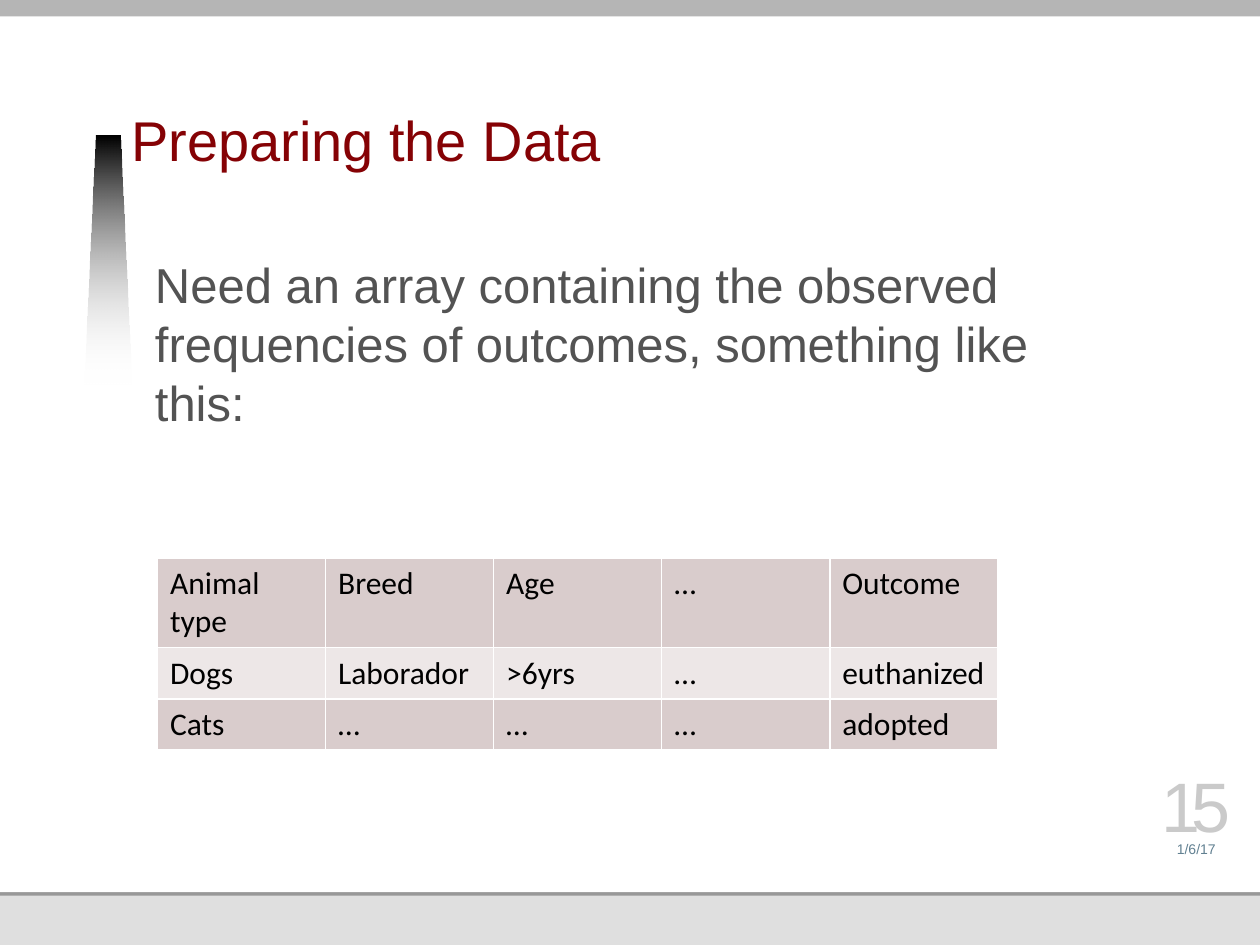
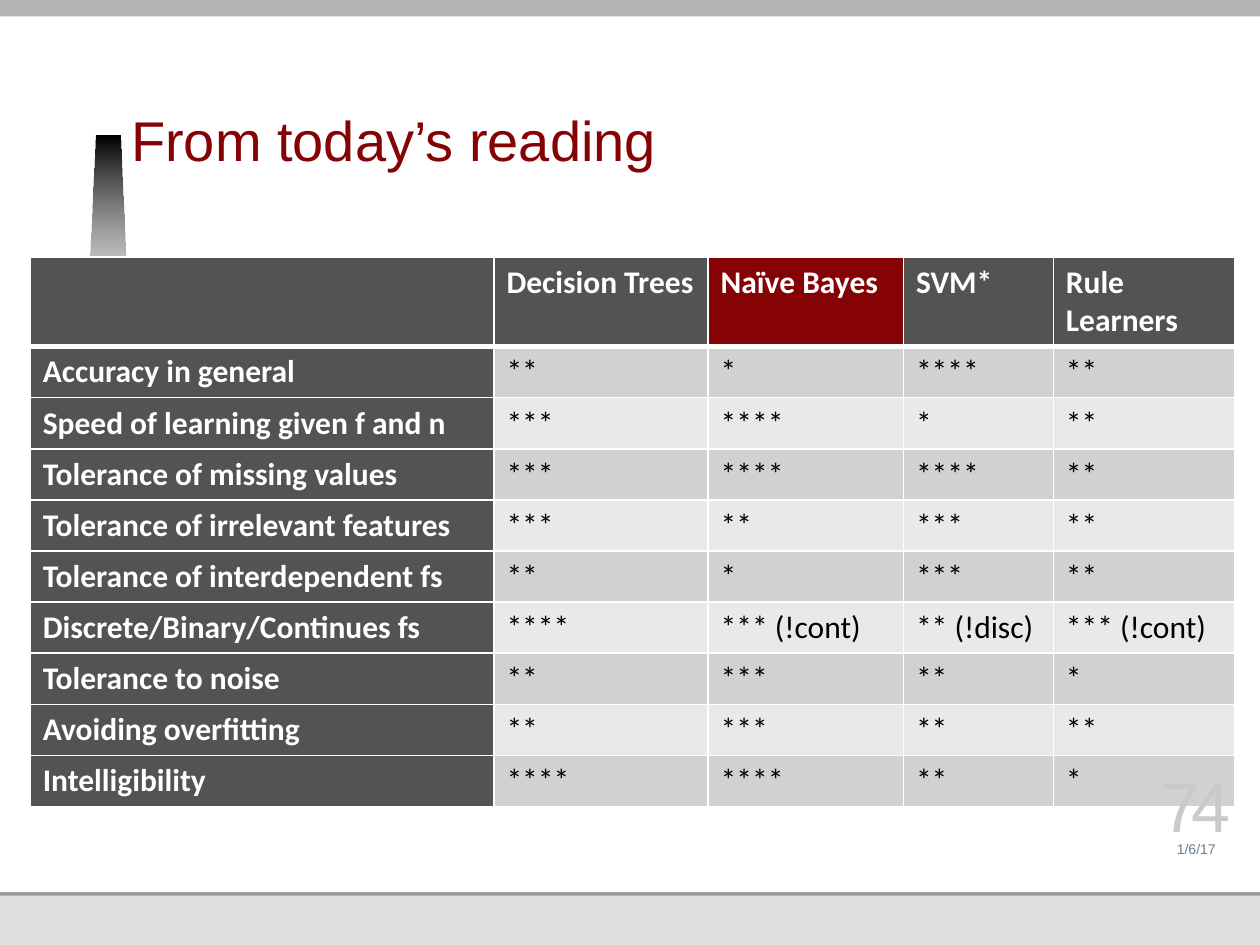
"""Builds two lecture slides on preparing data and comparing classifiers."""
from dataclasses import dataclass

from lxml import etree
from pptx import Presentation
from pptx.dml.color import RGBColor
from pptx.enum.shapes import MSO_SHAPE
from pptx.enum.text import MSO_ANCHOR, MSO_AUTO_SIZE, PP_ALIGN
from pptx.oxml.ns import qn
from pptx.util import Inches, Pt

RECT = MSO_SHAPE.RECTANGLE
TOP, BOTTOM = MSO_ANCHOR.TOP, MSO_ANCHOR.BOTTOM
LEFT, CENTER = PP_ALIGN.LEFT, PP_ALIGN.CENTER
NO_FIT = MSO_AUTO_SIZE.NONE
TITLE_AND_BODY, TITLE_ONLY = 1, 5
WHITE, BLACK, DARK, MAROON = "FFFFFF", "000000", "535353", "850205"
HEADER_HEIGHT, ROW_HEIGHT = 0.7, 0.4
FIRST_MASTER_ID = 100


@dataclass
class Band:
    left: float
    top: float
    width: float
    height: float
    color: str


@dataclass
class TextStyle:
    box: tuple
    size: float
    color: str
    anchor: int = BOTTOM
    align: int = LEFT
    inset: float = 0
    paragraph: tuple = ()
    spacing: int = 0


@dataclass
class Grid:
    left: float
    top: float
    cols: tuple
    rows: tuple
    bands: tuple
    headed: bool = False
    accent_col: int = -1


BANDS = (
    Band(0, 0, 10, 7.5, "DFDFDF"),
    Band(0, 1.78, 10, 5.33, "989898"),
    Band(0, 0, 10, 7.08, WHITE),
    Band(0, -0.04, 10.17, 0.17, "B5B5B5"),
)
BEAM = ((0.67, 3.05), (0.76, 1.08), (0.95, 1.08), (1.04, 3.05))

TITLE = TextStyle((1.04, 0.34, 6.87, 1.08), 32, MAROON, inset=0.05,
                  paragraph=(("line_spacing", Pt(34)),))
BODY = TextStyle((1.23, 2.02, 7.71, 4.79), 28, DARK, TOP, inset=0.05,
                 paragraph=(("space_before", Pt(0)), ("space_after", Pt(8))))
DATE = TextStyle((9.13, 6.58, 0.73, 0.22), 8, "618091", align=CENTER)
NUMBER = TextStyle((9.13, 6.16, 0.73, 0.56), 40, "CACACA", align=CENTER, spacing=-500)

ANIMALS = Grid(1.25, 4.43, (6.67 / 5,) * 5, (
    ("Animal type", "Breed", "Age", "…", "Outcome"),
    ("Dogs", "Laborador", ">6yrs", "…", "euthanized"),
    ("Cats", "…", "…", "…", "adopted"),
), ("D9CCCC", "EDE7E7"))

CLASSIFIERS = Grid(0.24, 2.04, (3.68, 1.7, 1.55, 1.19, 1.44), (
    ("", "Decision Trees", "Naïve Bayes", "SVM*", "Rule Learners"),
    ("Accuracy in general", "**", "*", "****", "**"),
    ("Speed of learning given f and n", "***", "****", "*", "**"),
    ("Tolerance of missing values", "***", "****", "****", "**"),
    ("Tolerance of irrelevant features", "***", "**", "***", "**"),
    ("Tolerance of interdependent fs", "**", "*", "***", "**"),
    ("Discrete/Binary/Continues fs", "****", "*** (!cont)", "** (!disc)", "*** (!cont)"),
    ("Tolerance to noise", "**", "***", "**", "*"),
    ("Avoiding overfitting", "**", "***", "**", "**"),
    ("Intelligibility", "****", "****", "**", "*"),
), ("E9E9E9", "D1D1D1"), headed=True, accent_col=2)


def rgb(color: str) -> RGBColor:
    """Turn a hex string into a colour."""
    return RGBColor.from_string(color)


def apply(target, values: dict) -> None:
    """Set every named attribute on the target."""
    for name, value in values.items():
        setattr(target, name, value)


def set_font(font, name: str, size: float, color: str, bold: bool = False) -> None:
    """Format a font."""
    apply(font, {"name": name, "size": Pt(size), "bold": bold})
    font.color.rgb = rgb(color)


def write(shape, text: str, style: TextStyle) -> None:
    """Place a text shape and fill it with one styled paragraph."""
    apply(shape, dict(zip(("left", "top", "width", "height"), map(Inches, style.box))))
    tf = shape.text_frame
    apply(tf, {"auto_size": NO_FIT, "word_wrap": True, "vertical_anchor": style.anchor,
               "margin_left": 0, "margin_right": 0, "margin_top": 0,
               "margin_bottom": Inches(style.inset)})
    p = tf.paragraphs[0]
    apply(p, {"alignment": style.align, **dict(style.paragraph)})
    r = p.add_run()
    r.text = text
    set_font(r.font, "Arial", style.size, style.color)
    if style.spacing:
        r.font._element.set("spc", str(style.spacing))


def add_beam(s):
    """Draw the tapered beam that fades out downwards."""
    start, *rest = [(Inches(x), Inches(y)) for x, y in BEAM]
    builder = s.shapes.build_freeform(*start)
    builder.add_line_segments(rest, close=True)
    beam = builder.convert_to_shape()
    beam.fill.gradient()
    beam.fill.gradient_angle = 270
    for stop, color in zip(beam.fill.gradient_stops, (BLACK, WHITE)):
        stop.color.rgb = rgb(color)
    last = beam.element.findall(".//" + qn("a:srgbClr"))[-1]
    etree.SubElement(last, qn("a:alpha"), val="0")
    return beam


def decorate_master(prs, s) -> None:
    """Draw the bands and the beam, and move them behind the master's text."""
    shapes = []
    for band in BANDS:
        box = map(Inches, (band.left, band.top, band.width, band.height))
        sp = s.shapes.add_shape(RECT, *box)
        sp.fill.solid()
        sp.fill.fore_color.rgb = rgb(band.color)
        shapes.append(sp)
    shapes.append(add_beam(s))
    tree = prs.slide_master.shapes.element
    for i, sp in enumerate(shapes):
        sp.shadow.inherit = False
        sp.line.fill.background()
        sp.element.nvSpPr.cNvPr.set("id", str(FIRST_MASTER_ID + i))
        tree.insert(2 + i, sp.element)


def set_borders(cell, widths: dict) -> None:
    """Give a cell white borders of the given widths in points."""
    tc_pr = cell._tc.get_or_add_tcPr()
    for i, (side, width) in enumerate(widths.items()):
        ln = etree.Element(qn("a:ln" + side), w=str(Pt(width)))
        fill = etree.SubElement(ln, qn("a:solidFill"))
        etree.SubElement(fill, qn("a:srgbClr"), val=WHITE)
        tc_pr.insert(i, ln)


def add_grid(s, grid: Grid) -> None:
    """Draw a table with banded rows and optional dark headings."""
    heights = [HEADER_HEIGHT] + [ROW_HEIGHT] * (len(grid.rows) - 1)
    box = map(Inches, (grid.left, grid.top, sum(grid.cols), sum(heights)))
    table = s.shapes.add_table(len(grid.rows), len(grid.cols), *box).table
    for column, width in zip(table.columns, grid.cols):
        column.width = Inches(width)
    for r, (row, height) in enumerate(zip(grid.rows, heights)):
        table.rows[r].height = Inches(height)
        for c, text in enumerate(row):
            cell = table.cell(r, c)
            heading = grid.headed and (r == 0 or c == 0)
            fill = DARK if heading else grid.bands[r % 2]
            if r == 0 and c == grid.accent_col:
                fill = MAROON
            cell.fill.solid()
            cell.fill.fore_color.rgb = rgb(fill)
            set_borders(cell, {"L": 1, "R": 1, "T": 3 if grid.headed and r == 1 else 1,
                               "B": 3 if grid.headed and r == 0 else 1})
            cell.text = text
            set_font(cell.text_frame.paragraphs[0].font, "Calibri", 18,
                     WHITE if heading else BLACK, heading)
            for run in cell.text_frame.paragraphs[0].runs:
                set_font(run.font, "Calibri", 18, WHITE if heading else BLACK, heading)


def add_slide(prs, layout: int, title: str):
    """Add a slide with its title."""
    s = prs.slides.add_slide(prs.slide_layouts[layout])
    write(s.shapes.title, title, TITLE)
    return s


def add_footer(s, number: str) -> None:
    """Write the date and the slide number."""
    for text, style in (("1/6/17", DATE), (number, NUMBER)):
        write(s.shapes.add_textbox(*map(Inches, style.box)), text, style)


def add_body(s, text: str) -> None:
    """Fill the body placeholder with one paragraph without a bullet."""
    body = s.placeholders[1]
    p_pr = body.text_frame.paragraphs[0]._p.get_or_add_pPr()
    apply(p_pr, {"marL": 0, "indent": 0}) if hasattr(p_pr, "marL") else None
    p_pr.set("marL", "0")
    p_pr.set("indent", "0")
    etree.SubElement(p_pr, qn("a:buNone"))
    write(body, text, BODY)


def main() -> None:
    """Build and save the presentation."""
    prs = Presentation()
    apply(prs, {"slide_width": Inches(10), "slide_height": Inches(7.5)})

    s = add_slide(prs, TITLE_AND_BODY, "Preparing the Data")
    decorate_master(prs, s)
    add_body(s, "Need an array containing the observed frequencies of outcomes, "
                "something like this:")
    add_grid(s, ANIMALS)
    add_footer(s, "15")

    s = add_slide(prs, TITLE_ONLY, "From today’s reading")
    add_grid(s, CLASSIFIERS)
    add_footer(s, "74")

    prs.save("out.pptx")


if __name__ == "__main__":
    main()
